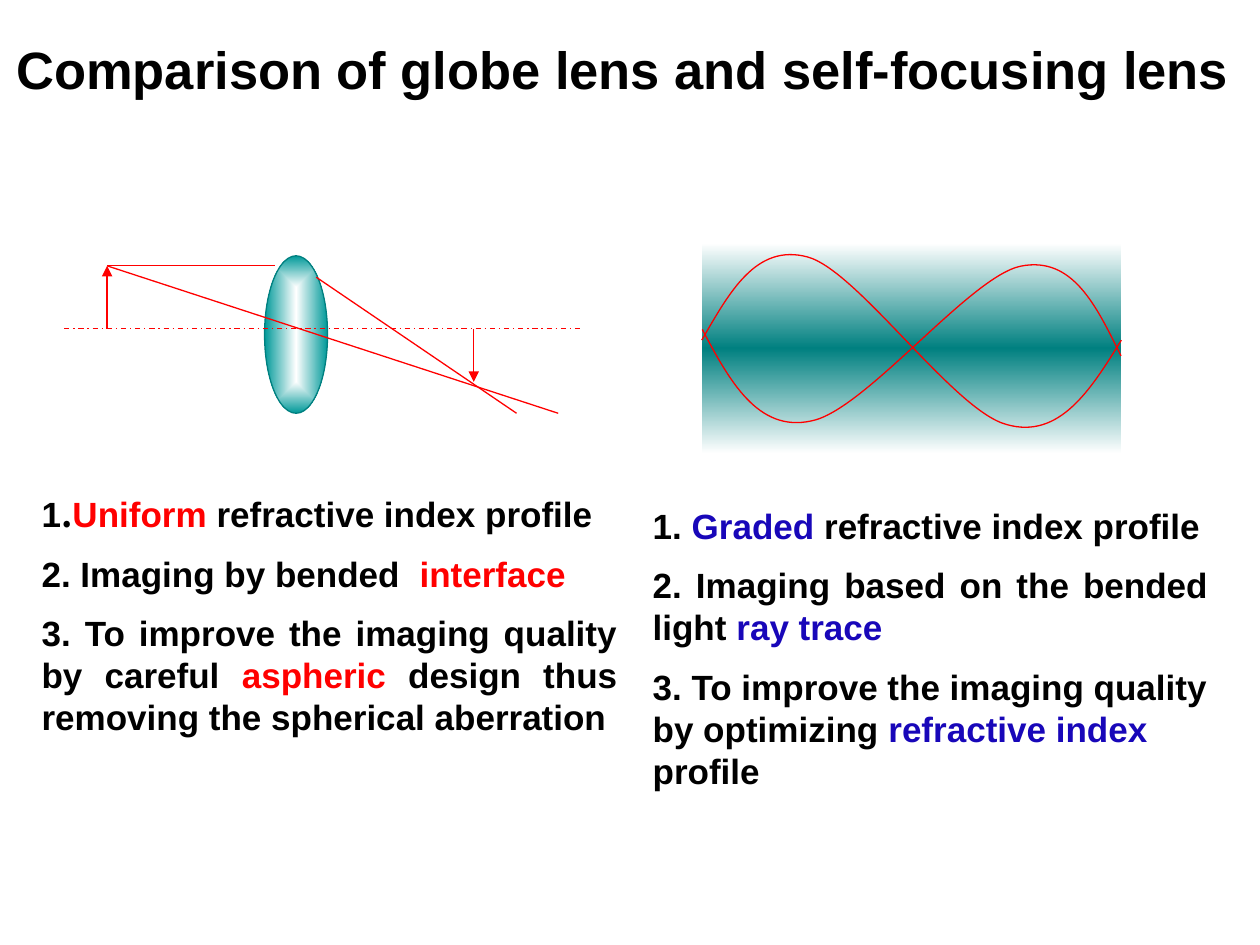
from dataclasses import dataclass

from pptx import Presentation
from pptx.dml.color import RGBColor
from pptx.enum.dml import MSO_LINE
from pptx.enum.shapes import MSO_CONNECTOR, MSO_SHAPE
from pptx.enum.text import MSO_ANCHOR, MSO_AUTO_SIZE, PP_ALIGN
from pptx.oxml import parse_xml
from pptx.oxml.ns import nsdecls, qn
from pptx.util import Inches, Pt


@dataclass(frozen=True)
class Theme:
    ink: str = "000000"
    red: str = "FF0000"
    blue: str = "1807B9"
    white: str = "FFFFFF"
    teal: str = "008080"
    light_teal: str = "009999"
    font: str = "Arial"
    dot_font: str = "Noto Sans CJK SC"
    title_size: int = 30
    body_size: int = 20
    line_width: float = 0.75


THEME = Theme()
LINEAR_DOWN = '<a:lin ang="5400000" scaled="1"/>'
FROM_CENTRE = ('<a:path path="shape"><a:fillToRect l="50000" t="50000" '
               'r="50000" b="50000"/></a:path>')


class SlidePainter:
    def __init__(self, page, theme):
        self.page = page
        self.theme = theme
        self.group = None

    def start_group(self):
        self.group = self.page.shapes.add_group_shape()

    def place(self, box, left, top, width, height):
        box.left, box.top = Inches(left), Inches(top)
        box.width, box.height = Inches(width), Inches(height)
        box.text_frame.auto_size = MSO_AUTO_SIZE.NONE
        box.text_frame.vertical_anchor = MSO_ANCHOR.TOP

    def style_span(self, span, size, color, font):
        span.font.name = font
        span.font.size = Pt(size)
        span.font.bold = True
        span.font.color.rgb = RGBColor.from_string(color)

    def title(self, text, *bounds):
        box = self.page.shapes.title
        self.place(box, *bounds)
        box.text_frame.word_wrap = False
        box.text_frame.text = text
        para = box.text_frame.paragraphs[0]
        para.alignment = PP_ALIGN.LEFT
        self.style_span(para.runs[0], self.theme.title_size, self.theme.ink, self.theme.font)

    def body(self, index, items, *bounds):
        """Fill a body placeholder; an item is (alignment, spans), a span (text, color, font)."""
        box = self.page.placeholders[index]
        self.place(box, *bounds)
        frame = box.text_frame
        frame.word_wrap = True
        for number, (alignment, spans) in enumerate(items):
            para = frame.add_paragraph() if number else frame.paragraphs[0]
            properties = para._p.get_or_add_pPr()
            properties.set("marL", "0")
            properties.set("indent", "0")
            properties.append(parse_xml(f"<a:buNone {nsdecls('a')}/>"))
            para.alignment = alignment
            para.space_before = Pt(self.theme.body_size / 2 if number else 0)
            for text, color, *font in spans:
                span = para.add_run()
                span.text = text
                self.style_span(span, self.theme.body_size, color,
                                font[0] if font else self.theme.font)

    def gradient_shape(self, kind, bounds, colors, direction, outline=None):
        shape = self.group.shapes.add_shape(kind, *map(Inches, bounds))
        shape.shadow.inherit = False
        shape.fill.gradient()
        stops = "".join(
            f'<a:gs pos="{100000 * i // (len(colors) - 1)}"><a:srgbClr val="{color}"/></a:gs>'
            for i, color in enumerate(colors))
        properties = shape._element.spPr
        properties.replace(properties.find(qn("a:gradFill")), parse_xml(
            f"<a:gradFill {nsdecls('a')} rotWithShape=\"1\">"
            f"<a:gsLst>{stops}</a:gsLst>{direction}</a:gradFill>"))
        if outline:
            self.stroke(shape.line, outline)
        else:
            shape.line.fill.background()

    def stroke(self, line, color):
        line.color.rgb = RGBColor.from_string(color)
        line.width = Pt(self.theme.line_width)

    def ray(self, start, end, dash=None, arrow=False):
        ray = self.group.shapes.add_connector(
            MSO_CONNECTOR.STRAIGHT, *map(Inches, (*start, *end)))
        self.stroke(ray.line, self.theme.red)
        if dash:
            ray.line.dash_style = dash
        properties = ray._element.spPr
        if arrow:
            properties.find(qn("a:ln")).append(
                parse_xml(f"<a:tailEnd {nsdecls('a')} type=\"triangle\"/>"))
        properties.append(parse_xml(f"<a:effectLst {nsdecls('a')}/>"))

    def curve(self, nodes, rotation=0):
        """Draw cubic curves: a start node, then two controls and an end for each."""
        points = [(Inches(x), Inches(y)) for x, y in nodes]
        builder = self.group.shapes.build_freeform(*points[0])
        builder.add_line_segments(points[1:], close=False)
        curve = builder.convert_to_shape()
        segments = list(curve._element.iter(qn("a:lnTo")))
        for first in range(0, len(segments), 3):
            cubic = parse_xml(f"<a:cubicBezTo {nsdecls('a')}/>")
            segments[first].addprevious(cubic)
            for segment in segments[first:first + 3]:
                cubic.append(segment[0])
                segment.getparent().remove(segment)
        curve.rotation = rotation
        curve.shadow.inherit = False
        curve.fill.background()
        self.stroke(curve.line, self.theme.red)


def draw_globe_lens(painter):
    axis_y = 2.61
    object_tip = (0.85, 2.11)
    painter.start_group()
    painter.gradient_shape(MSO_SHAPE.OVAL, (2.1, 2.03, 0.5, 1.25),
                           (THEME.white, THEME.light_teal), FROM_CENTRE, THEME.teal)
    painter.ray((0.51, axis_y), (4.6, axis_y), dash=MSO_LINE.DASH_DOT)
    painter.ray((0.85, axis_y), object_tip, arrow=True)
    painter.ray(object_tip, (2.18, 2.11))
    painter.ray(object_tip, (4.43, 3.28))
    painter.ray((2.51, 2.2), (4.1, 3.28))
    painter.ray((3.76, axis_y), (3.76, 3.03), arrow=True)


def draw_self_focusing_lens(painter):
    left, right = 5.57, 8.9
    wave = [(left, 2.7), (5.79, 2.32), (6, 1.93), (6.41, 2.04), (6.81, 2.15),
            (7.57, 3.26), (7.99, 3.37), (8.41, 3.49), (8.66, 3.09), (right, 2.7)]
    mirrored_wave = [(left + right - x, y + 0.02) for x, y in wave]
    painter.start_group()
    painter.gradient_shape(MSO_SHAPE.RECTANGLE, (left, 1.93, right - left, 1.67),
                           (THEME.white, THEME.teal, THEME.white), LINEAR_DOWN)
    painter.curve(wave)
    painter.curve(mirrored_wave, rotation=3.6)


def main():
    deck = Presentation()
    deck.slide_width, deck.slide_height = Inches(10), Inches(7.5)
    page = deck.slides.add_slide(deck.slide_layouts.get_by_name("Two Content"))
    painter = SlidePainter(page, THEME)
    ink, red, blue = THEME.ink, THEME.red, THEME.blue
    left, justify = PP_ALIGN.LEFT, PP_ALIGN.JUSTIFY

    painter.title("Comparison of globe lens and self-focusing lens", 0.03, 0.24, 9.93, 0.61)
    painter.body(1, [
        (justify, [("1", ink), (".", ink, THEME.dot_font), ("Uniform", red),
                   (" refractive index profile", ink)]),
        (justify, [("2. Imaging by bended  ", ink), ("interface ", red)]),
        (justify, [("3. To improve the imaging quality by careful ", ink), ("aspheric", red),
                   (" design thus removing the spherical aberration ", ink)]),
    ], 0.23, 3.86, 4.77, 2.79)
    painter.body(2, [
        (left, [("1. ", ink), ("Graded", blue), (" refractive index profile", ink)]),
        (justify, [("2. Imaging based on the bended light ", ink), ("ray trace", blue)]),
        (left, [("3. To improve the imaging quality by optimizing ", ink),
                ("refractive index ", blue), ("profile", ink)]),
    ], 5.08, 3.95, 4.61, 2.79)
    draw_globe_lens(painter)
    draw_self_focusing_lens(painter)
    deck.save("out.pptx")


if __name__ == "__main__":
    main()
